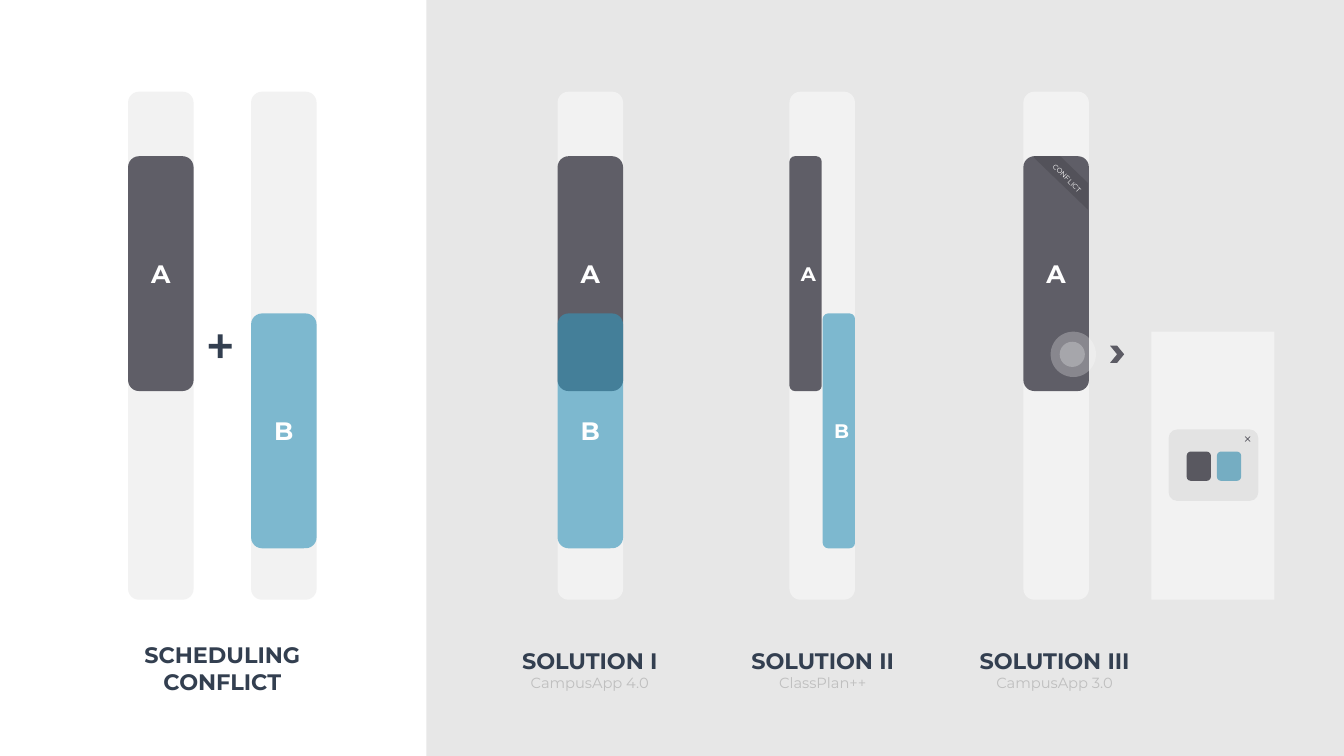
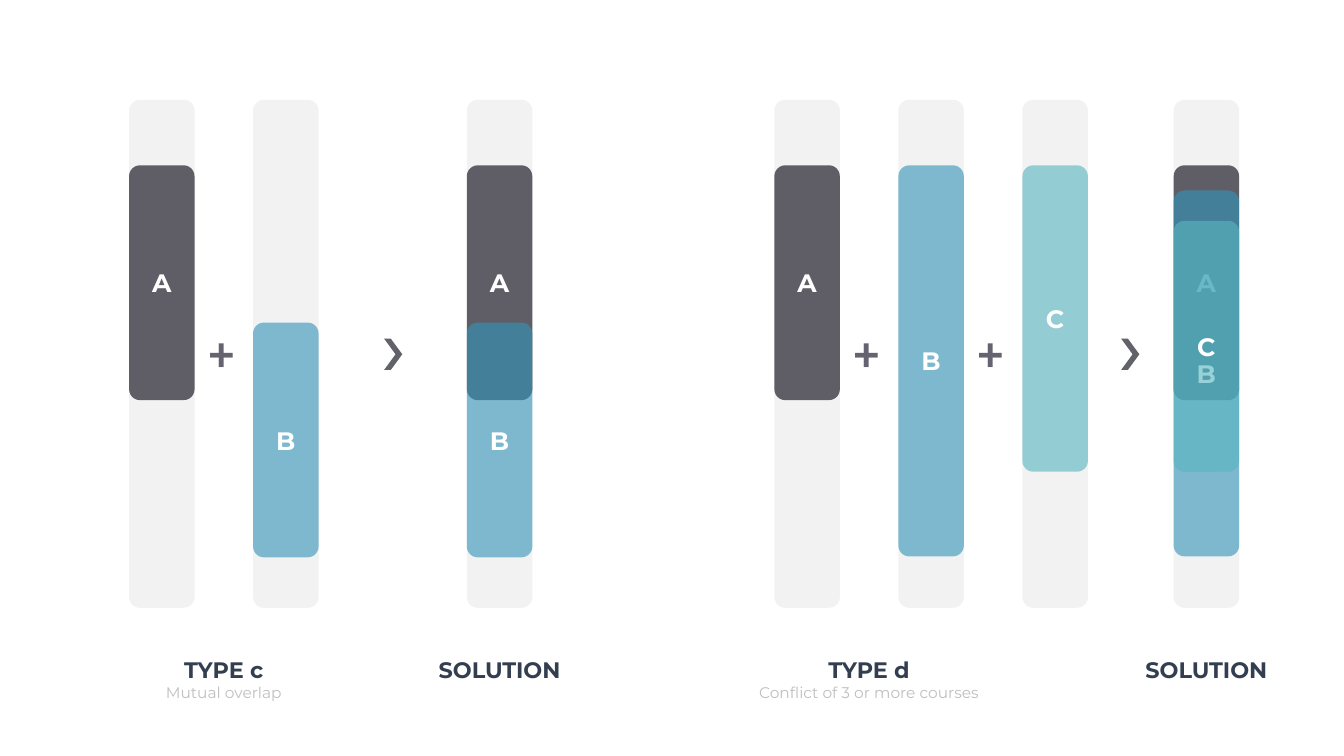
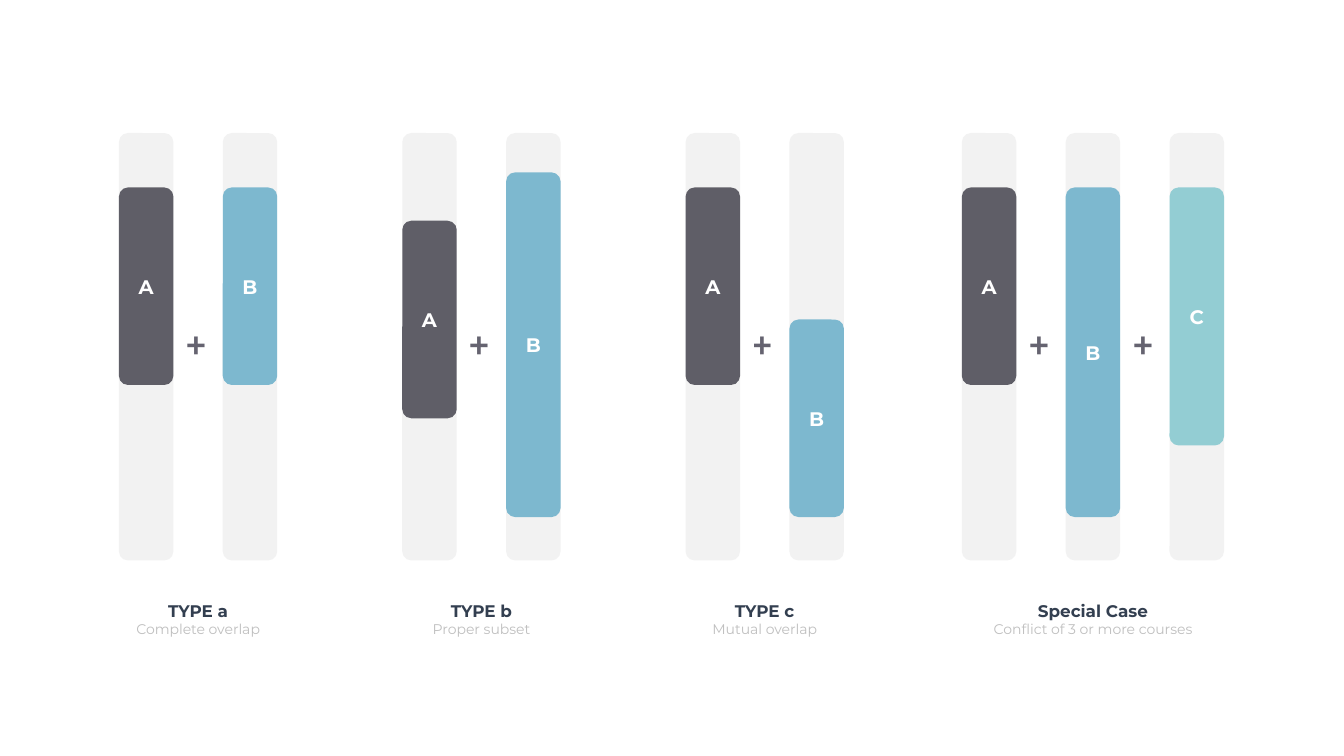
from dataclasses import dataclass

from lxml import etree
from pptx import Presentation
from pptx.dml.color import RGBColor
from pptx.enum.shapes import MSO_SHAPE
from pptx.enum.text import MSO_ANCHOR, MSO_AUTO_SIZE, PP_ALIGN
from pptx.oxml.ns import qn
from pptx.util import Inches, Pt

RECT = MSO_SHAPE.RECTANGLE
ROUND = MSO_SHAPE.ROUNDED_RECTANGLE
OVAL = MSO_SHAPE.OVAL
CHEVRON = MSO_SHAPE.CHEVRON
STRIPE = MSO_SHAPE.DIAGONAL_STRIPE
CROSS = MSO_SHAPE.CROSS
TOP, MIDDLE = MSO_ANCHOR.TOP, MSO_ANCHOR.MIDDLE
LEFT, CENTER = PP_ALIGN.LEFT, PP_ALIGN.CENTER
GROW, FIXED = MSO_AUTO_SIZE.SHAPE_TO_FIT_TEXT, MSO_AUTO_SIZE.NONE

FONT, SIGN = "Montserrat", "Noto Sans CJK SC"
WHITE, PALE, GREY, NAVY = "FFFFFF", "F2F2F2", "BFBFBF", "333F50"
DARK, BLUE, TEAL = ("292834", 73), ("3494BA", 61), ("58B6C0", 61)
INK = ("373545", 76)
FILLS = {"A": DARK, "B": BLUE, "C": TEAL}
WIDE = 2.6


@dataclass
class Scale:
    top: float
    width: float
    tall: float
    step: float
    letter: int
    head: int
    sub: float
    label: float
    plus: tuple
    tint: object

    def mid(self, x, count=2):
        return x + ((count - 1) * self.step + self.width) / 2


BIG = Scale(0.91, 0.65, 5.04, 1.22, 18, 16, 10.5, 6.37, (0.69, 3.11, 32), NAVY)
PAIR = Scale(0.99, 0.65, 5.04, 1.23, 18, 16, 11, 6.46, (0.69, 3.2, 32), INK)
SMALL = Scale(1.32, 0.54, 4.24, 1.03, 14, 12, 10, 5.91, (0.57, 3.17, 24), INK)


def paint(fill, color):
    code, alpha = (color, 100) if isinstance(color, str) else color
    fill.solid()
    fill.fore_color.rgb = RGBColor.from_string(code)
    if alpha < 100:
        for tone in fill._xPr.iter(qn("a:srgbClr")):
            etree.SubElement(tone, qn("a:alpha")).set("val", str(alpha * 1000))


def write(frame, lines, align=CENTER):
    for i, (text, size, color, bold, face) in enumerate(lines):
        para = frame.add_paragraph() if i else frame.paragraphs[0]
        para.text = text
        para.alignment = align
        para.font.size = Pt(size)
        para.font.bold = bold
        para.font.name = face
        paint(para.font.fill, color)


def shape(slide, kind, x, y, w, h, color, adj=None):
    item = slide.shapes.add_shape(kind, Inches(x), Inches(y), Inches(w), Inches(h))
    item.shadow.inherit = False
    item.line.fill.background()
    paint(item.fill, color)
    if adj is not None:
        item.adjustments[0] = adj
    return item


def label(slide, x, y, w, h, lines, align=CENTER):
    box = slide.shapes.add_textbox(Inches(x), Inches(y), Inches(w), Inches(h))
    box.text_frame.word_wrap = False
    box.text_frame.auto_size = GROW
    write(box.text_frame, lines, align)
    return box


def caption(slide, scale, mid, head, sub=None):
    lines = [(head, scale.head, NAVY, True, FONT)]
    if sub:
        lines.append((sub, scale.sub, GREY, False, FONT))
    label(slide, mid - WIDE / 2, scale.label, WIDE, 0.55, lines)


def title(slide, mid, y, lines):
    item = slide.shapes.title
    item.left, item.top = Inches(mid - WIDE / 2), Inches(y)
    item.width, item.height = Inches(WIDE), Inches(0.64)
    frame = item.text_frame
    frame.auto_size = FIXED
    frame.vertical_anchor = TOP
    write(frame, [(line, 16, NAVY, True, FONT) for line in lines])


def bar(slide, x, y, w, h, name, size):
    item = shape(slide, ROUND, x, y, w, h, FILLS[name])
    item.text_frame.vertical_anchor = MIDDLE
    write(item.text_frame, [(name, size, WHITE, True, FONT)])


def lane(slide, scale, x, *bars):
    shape(slide, ROUND, x, scale.top, scale.width, scale.tall, PALE)
    for name, y, h in bars:
        bar(slide, x, y, scale.width, h, name, scale.letter)


def total(slide, scale, x, *bars):
    shift, y, size = scale.plus
    for i, item in enumerate(bars):
        left = x + i * scale.step
        lane(slide, scale, left, item)
        if i:
            label(slide, left - scale.step + shift, y, size / 60, 0.64,
                  [("+", size, scale.tint, True, SIGN)], LEFT)


def popup(slide):
    shape(slide, RECT, 11.42, 3.29, 1.22, 2.66, PALE)
    for x, color in ((11.77, DARK), (12.07, BLUE)):
        shape(slide, ROUND, x, 4.48, 0.24, 0.29, color)
    shape(slide, ROUND, 11.59, 4.26, 0.89, 0.71, ("000000", 6), 0.12)
    close = shape(slide, CROSS, 12.34, 4.32, 0.07, 0.07, "5B5A63", 0.45)
    close.rotation = 315


def badge(slide):
    fold = shape(slide, STRIPE, 10.24, 1.55, 0.55, 0.53, ("0D0D0D", 14), 0.5)
    fold._element.spPr.find(qn("a:xfrm")).set("flipH", "1")
    note = label(slide, 10.3, 1.68, 0.57, 0.19,
                 [("CONFLICT", 5, WHITE, False, FONT)], LEFT)
    note.rotation = 45


def current(deck):
    slide = deck.slides.add_slide(deck.slide_layouts[5])
    shape(slide, RECT, 4.23, 0, 9.1, 7.5, ("D9D9D9", 61))
    early, late = ("A", 1.55, 2.33), ("B", 3.11, 2.33)
    total(slide, BIG, 1.27, early, late)
    title(slide, BIG.mid(1.27), 6.31, ["SCHEDULING", "CONFLICT"])
    lane(slide, BIG, 5.53, early, late)
    lane(slide, BIG, 7.83)
    for i, (name, y, h) in enumerate((early, late)):
        bar(slide, 7.83 + i * 0.33, y, 0.32, h, name, 14)
    lane(slide, BIG, 10.15, early)
    badge(slide)
    for x, y, size in ((10.42, 3.29, 0.45), (10.51, 3.39, 0.25)):
        shape(slide, OVAL, x, y, size, size, (WHITE, 26))
    shape(slide, CHEVRON, 11.01, 3.43, 0.14, 0.17, DARK)
    popup(slide)
    for mid, head, sub in ((5.85, "SOLUTION I", "CampusApp 4.0"),
                           (8.16, "SOLUTION II", "ClassPlan++"),
                           (10.46, "SOLUTION III", "CampusApp 3.0")):
        caption(slide, BIG, mid, head, sub)


def merged(deck):
    slide = deck.slides.add_slide(deck.slide_layouts[6])
    early, late = ("A", 1.64, 2.33), ("B", 3.2, 2.33)
    total(slide, PAIR, 1.28, early, late)
    lane(slide, PAIR, 4.63, early, late)
    total(slide, PAIR, 7.68, early, ("B", 1.64, 3.88), ("C", 1.64, 3.04))
    lane(slide, PAIR, 11.64, early, ("B", 1.89, 3.63), ("C", 2.19, 2.49))
    for x in (3.81, 11.12):
        shape(slide, CHEVRON, x, 3.36, 0.18, 0.31, DARK, 0.63)
    caption(slide, PAIR, PAIR.mid(1.28), "TYPE c", "Mutual overlap")
    caption(slide, PAIR, PAIR.mid(7.68), "TYPE d", "Conflict of 3 or more courses")
    for x in (4.63, 11.64):
        caption(slide, PAIR, PAIR.mid(x, 1), "SOLUTION")


def types(deck):
    slide = deck.slides.add_slide(deck.slide_layouts[6])
    early = ("A", 1.86, 1.96)
    cases = (
        (1.18, "TYPE a", "Complete overlap", early, ("B", 1.86, 1.96)),
        (3.99, "TYPE b", "Proper subset", ("A", 2.19, 1.96), ("B", 1.71, 3.42)),
        (6.8, "TYPE c", "Mutual overlap", early, ("B", 3.17, 1.96)),
        (9.54, "Special Case", "Conflict of 3 or more courses",
         early, ("B", 1.86, 3.27), ("C", 1.86, 2.56)),
    )
    for x, head, sub, *bars in cases:
        total(slide, SMALL, x, *bars)
        caption(slide, SMALL, SMALL.mid(x, len(bars)), head, sub)


def main():
    deck = Presentation()
    deck.slide_width, deck.slide_height = Inches(13.33), Inches(7.5)
    current(deck)
    merged(deck)
    types(deck)
    deck.save("out.pptx")


if __name__ == "__main__":
    main()
